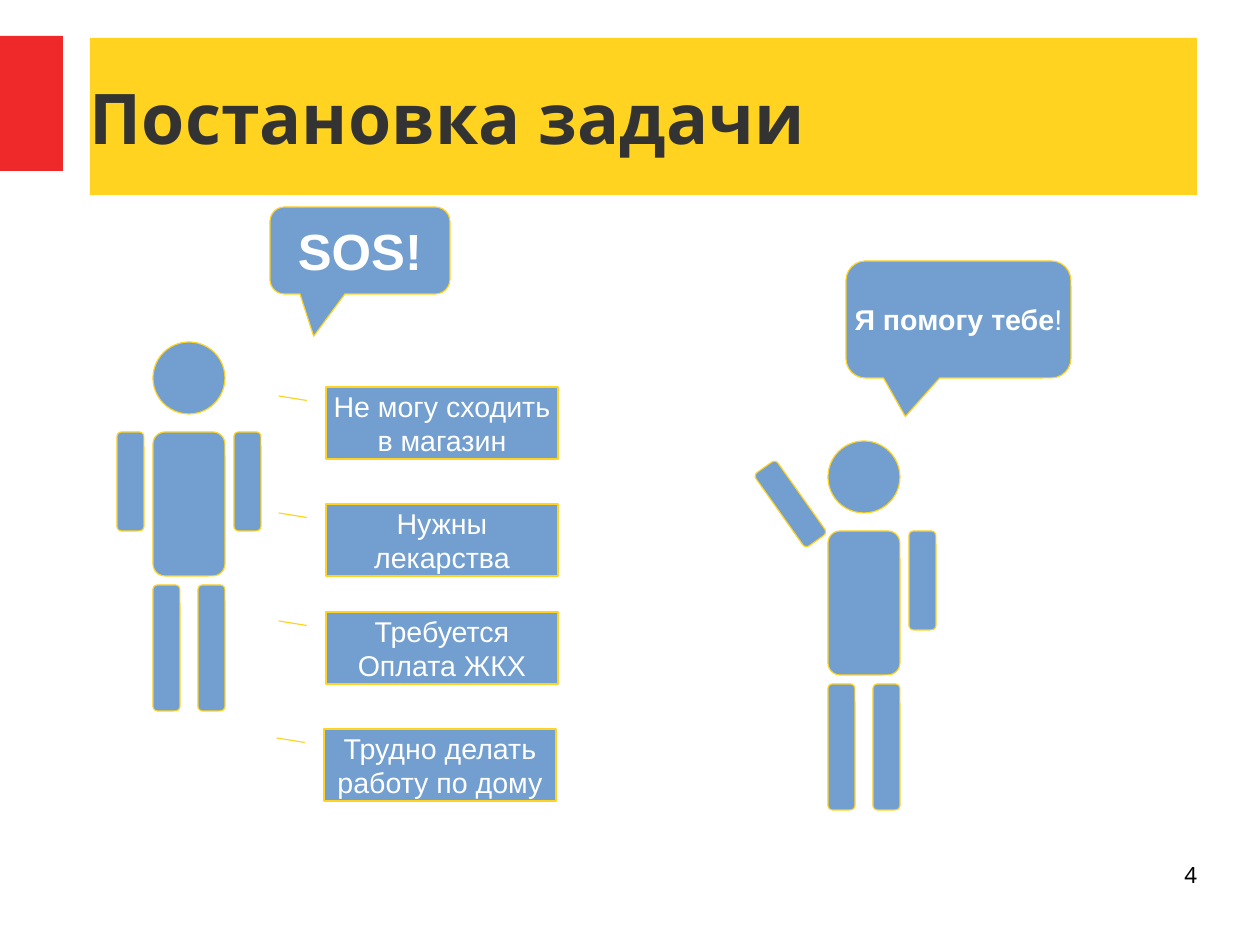
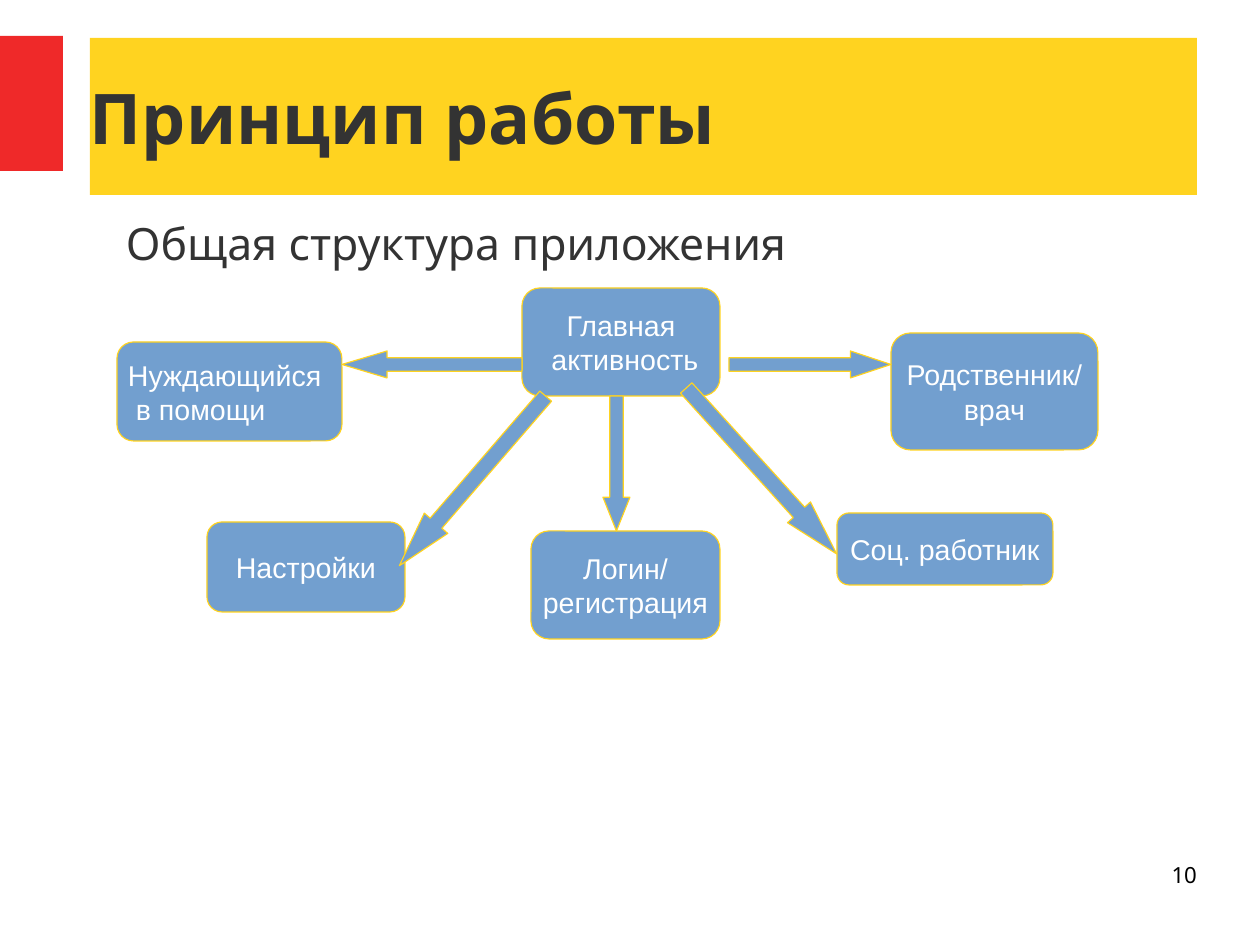
from dataclasses import dataclass

from pptx import Presentation
from pptx.dml.color import RGBColor as Color
from pptx.enum.shapes import MSO_SHAPE as Shape
from pptx.enum.text import MSO_ANCHOR as Anchor, PP_ALIGN as Align
from pptx.util import Emu, Pt

EMU_PER_PX = 8000
ROUNDING = 0.167


@dataclass(frozen=True)
class Theme:
    """Colours, fonts and type sizes of the deck."""

    accent: str = "EF2929"
    band: str = "FFD320"
    figure: str = "729FCF"
    dark: str = "333333"
    light: str = "FFFFFF"
    black: str = "000000"
    heading_font: str = "Noto Sans"
    label_font: str = "Arial"
    title_size: int = 44
    shout_size: int = 32
    subtitle_size: int = 28
    label_size: int = 18
    number_size: int = 14


def px(length):
    """Turn px into EMU."""
    return Emu(length * EMU_PER_PX)


def write(frame, text, *, font, size, color, bold=False, tail="", align=Align.LEFT,
          anchor=Anchor.TOP, inset=(0, 0), wrap=True):
    """Fill a text frame, one paragraph a line; the tail is added in regular weight."""
    frame.word_wrap = wrap
    frame.vertical_anchor = anchor
    frame.margin_left = frame.margin_right = px(inset[0])
    frame.margin_top = frame.margin_bottom = px(inset[1])
    for index, line in enumerate(text.split("\n")):
        para = frame.paragraphs[0] if index == 0 else frame.add_paragraph()
        para.alignment = align
        for words, weight in ((line, bold), (tail, False)):
            if words:
                span = para.add_run()
                span.text = words
                span.font.name = font
                span.font.size = Pt(size)
                span.font.bold = weight
                span.font.color.rgb = Color.from_string(color)


class Deck:
    """A presentation with its style and current page."""

    def __init__(self, theme, width, height):
        """Start an empty deck."""
        self.theme = theme
        self.file = Presentation()
        self.file.slide_width, self.file.slide_height = px(width), px(height)
        self.page = None

    def add_page(self, title, number):
        """Add a page with its accent block, title band and number."""
        theme = self.theme
        self.page = self.file.slides.add_slide(self.file.slide_layouts[6])
        self.shape(Shape.RECTANGLE, (0, 36, 63, 135), fill=theme.accent, line=None)
        band = self.shape(Shape.RECTANGLE, (90, 38, 1107, 157), fill=theme.band, line=None)
        write(band.text_frame, title, font=theme.heading_font, size=theme.title_size,
              color=theme.dark, bold=True, anchor=Anchor.MIDDLE)
        self.text((903, 861, 294, 65), str(number), font=theme.heading_font,
                  size=theme.number_size, color=theme.black, align=Align.RIGHT)

    def shape(self, kind, place, *, adjust=(), turn=0, fill=Theme.figure, line=Theme.band):
        """Add a filled preset shape with a hairline outline."""
        box = self.page.shapes.add_shape(kind, *map(px, place))
        box.shadow.inherit = False
        box.rotation = turn
        for index, value in enumerate(adjust):
            box.adjustments[index] = value
        box.fill.solid()
        box.fill.fore_color.rgb = Color.from_string(fill)
        if line:
            box.line.color.rgb = Color.from_string(line)
            box.line.width = Pt(0)
        else:
            box.line.fill.background()
        return box

    def text(self, place, text, **style):
        """Add a text box."""
        box = self.page.shapes.add_textbox(*map(px, place))
        write(box.text_frame, text, **style)

    def label(self, kind, place, text, *, adjust=(ROUNDING,), size=Theme.label_size, **style):
        """Add a shape with centred text."""
        box = self.shape(kind, place, adjust=adjust)
        write(box.text_frame, text, font=self.theme.label_font, size=size,
              color=self.theme.light, align=Align.CENTER, anchor=Anchor.MIDDLE,
              inset=(11, 6), wrap=False, **style)

    def speech(self, place, text, tip, **style):
        """Add a bold speech bubble."""
        self.label(Shape.ROUNDED_RECTANGULAR_CALLOUT, place, text,
                   adjust=(*tip, ROUNDING), bold=True, **style)

    def person(self, left, top, *, waving=False):
        """Add a person whose head and body start at the given corner."""
        self.shape(Shape.OVAL, (left, top, 72, 72))
        free_arm = (-51, 18, 27, 90, -35.3) if waving else (-36, 90, 27, 99, 0)
        limbs = [(0, 90, 72, 144, 0), (81, 90, 27, 99, 0), (45, 243, 27, 126, 0),
                 (0, 243, 27, 126, 0), free_arm]
        for across, down, width, height, turn in limbs:
            self.shape(Shape.ROUNDED_RECTANGLE, (left + across, top + down, width, height),
                       adjust=(ROUNDING,), turn=turn)

    def arrow(self, kind, place, head, turn=0):
        """Add a block arrow with the given head length ratio."""
        self.shape(kind, place, adjust=(0.5, head), turn=turn)


def add_task_page(deck):
    """Show the person in need, the needs and the helper."""
    deck.add_page("Постановка задачи", 4)
    deck.person(153, 342)
    deck.speech((270, 207, 180, 87), "SOS!", (-0.257, 0.986), size=deck.theme.shout_size)
    deck.person(828, 441, waving=True)
    deck.speech((846, 261, 225, 117), "Я помогу тебе", (-0.236, 0.83), tail="!")
    needs = [
        (326, 387, "Не могу сходить\nв магазин"),
        (326, 504, "Нужны\nлекарства"),
        (326, 612, "Требуется\nОплата ЖКХ"),
        (324, 729, "Трудно делать\nработу по дому"),
    ]
    for left, top, need in needs:
        deck.label(Shape.LINE_CALLOUT_1, (left, top, 232, 72), need,
                   adjust=(0.188, -0.083, 0.125, -0.204))


def add_structure_page(deck):
    """Show the screens of the application and the arrows between them."""
    theme = deck.theme
    deck.add_page("Принцип работы", 10)
    deck.text((72, 216, 1080, 72), "Общая структура приложения", font=theme.heading_font,
              size=theme.subtitle_size, color=theme.dark, inset=(54, 0))
    screens = [
        ((522, 288, 198, 108), "Главная\n активность"),
        ((837, 513, 216, 72), "Соц. работник"),
        ((891, 333, 207, 117), "Родственник/\nврач"),
        ((207, 522, 198, 90), "Настройки"),
        ((531, 531, 189, 108), "Логин/\nрегистрация"),
    ]
    for place, name in screens:
        deck.label(Shape.ROUNDED_RECTANGLE, place, name)
    deck.shape(Shape.ROUNDED_RECTANGLE, (117, 342, 225, 99), adjust=(ROUNDING,))
    deck.text((117, 352, 234, 107), "Нуждающийся\n в помощи", font=theme.label_font,
              size=theme.label_size, color=theme.light, inset=(11, 6))
    deck.arrow(Shape.RIGHT_ARROW, (729, 351, 162, 27), 1.5)
    deck.arrow(Shape.LEFT_ARROW, (342, 351, 180, 27), 1.67)
    deck.arrow(Shape.DOWN_ARROW, (603, 396, 27, 135), 1.25)
    deck.arrow(Shape.DOWN_ARROW, (746, 359, 31, 224), 1.81, turn=317.8)
    deck.arrow(Shape.DOWN_ARROW, (457, 369, 31, 224), 1.81, turn=40.8)


def main():
    """Build and save the deck."""
    deck = Deck(Theme(), 1260, 945)
    add_task_page(deck)
    add_structure_page(deck)
    deck.file.save("out.pptx")


if __name__ == "__main__":
    main()
